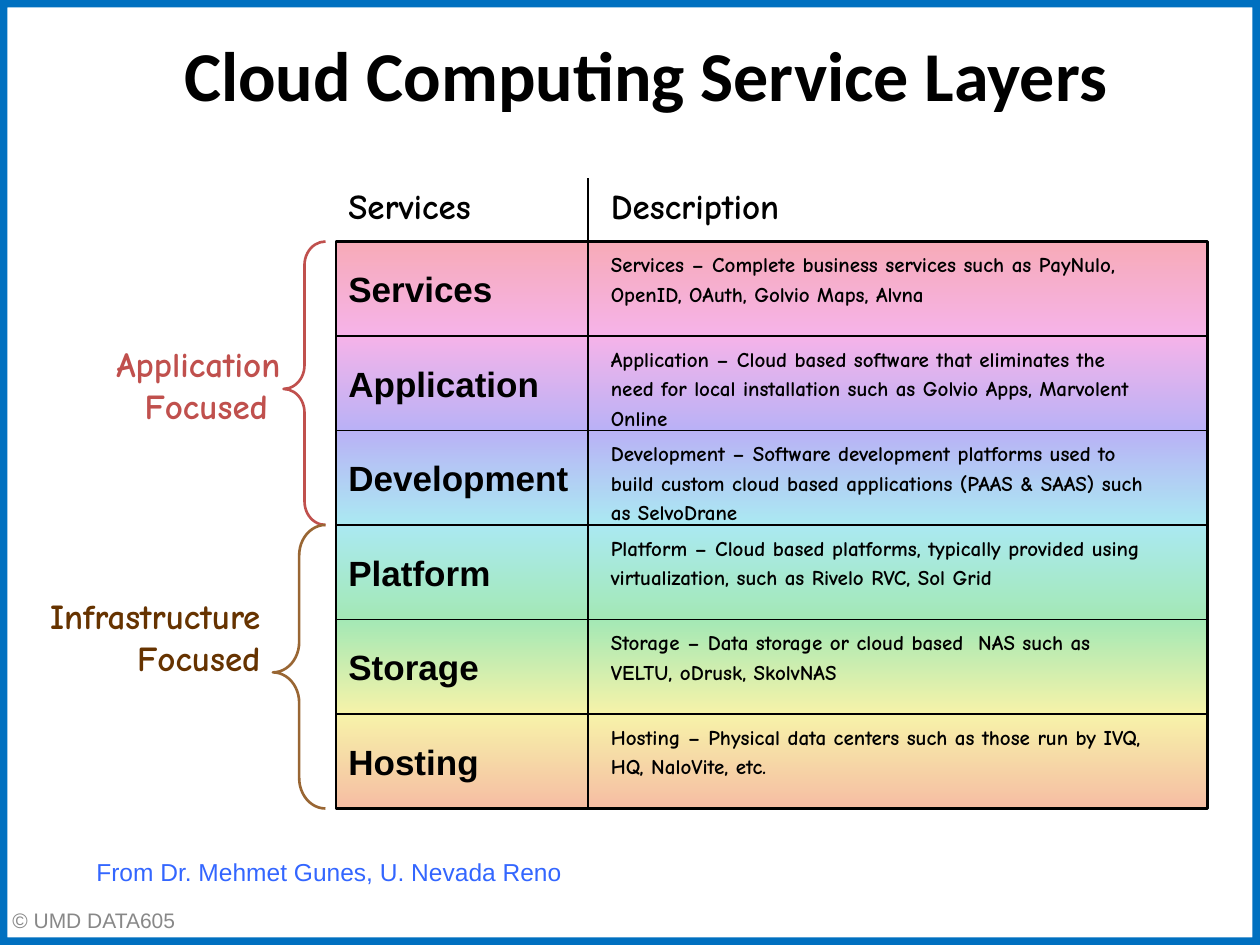
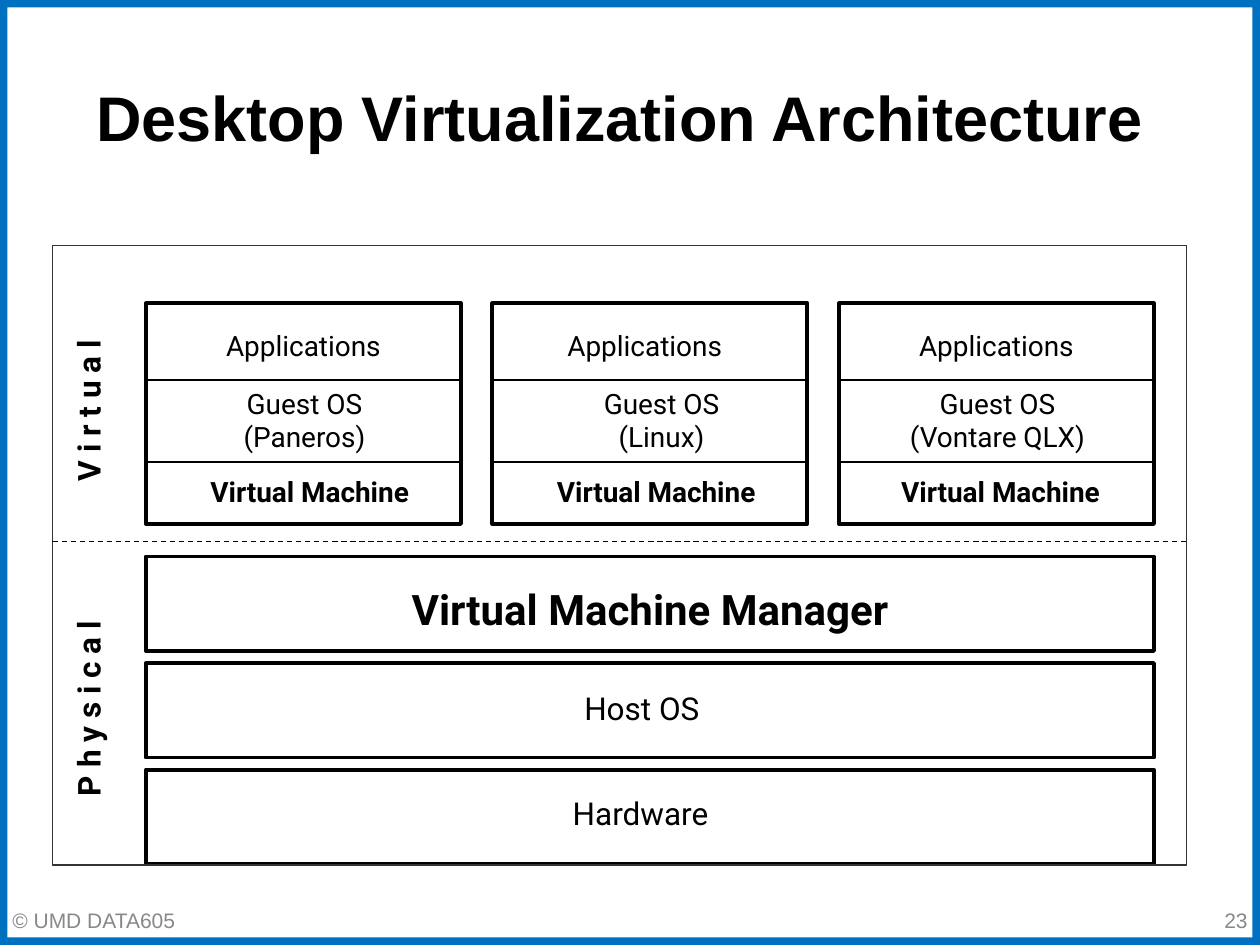
from pptx import Presentation
from pptx.dml.color import RGBColor
from pptx.enum.dml import MSO_LINE
from pptx.enum.shapes import MSO_CONNECTOR, MSO_SHAPE
from pptx.enum.text import MSO_ANCHOR, MSO_AUTO_SIZE, PP_ALIGN
from pptx.oxml.ns import qn
from pptx.util import Pt
from lxml import etree

RECT, BRACE, FRAME = MSO_SHAPE.RECTANGLE, MSO_SHAPE.LEFT_BRACE, MSO_SHAPE.FRAME
STRAIGHT, DASH = MSO_CONNECTOR.STRAIGHT, MSO_LINE.DASH
LEFT, CENTER, RIGHT = PP_ALIGN.LEFT, PP_ALIGN.CENTER, PP_ALIGN.RIGHT
TOP, MIDDLE = MSO_ANCHOR.TOP, MSO_ANCHOR.MIDDLE
GROW = MSO_AUTO_SIZE.SHAPE_TO_FIT_TEXT

# The slide is a grid of 120 columns by 90 rows, twelve cells to the inch
COLS, ROWS = 120, 90
CELL = 76200

BLACK, GREY, BORDER = "000000", "888888", "0070C0"
TITLE_ONLY = 5

# Text formats
COMIC = dict(name="Comic Neue", size=Pt(20), bold=True)
DETAIL = dict(COMIC, size=Pt(12))
LAYER = dict(name="Arial", size=Pt(20), bold=True)
CREDIT = dict(name="Arial", size=Pt(14))
FOOTER = dict(name="Arial", size=Pt(12))
MACHINE = dict(name="Roboto", size=Pt(16), bold=False)
MACHINE_BOLD = dict(MACHINE, bold=True)
HOST = dict(MACHINE, size=Pt(18))
MANAGER = dict(MACHINE_BOLD, size=Pt(24))
SIDE = dict(MACHINE_BOLD, size=Pt(18))

LAYER_COLORS = ["EB2D4D", "E943C9", "523EEA", "2DCADF", "1BC748", "EBE229", "E95B1B"]
LAYERS = [
    ("Services", "Complete business services such as PayNulo, OpenID, OAuth, "
                 "Golvio Maps, Alvna"),
    ("Application", "Cloud based software that eliminates the need for local "
                    "installation such as Golvio Apps, Marvolent Online"),
    ("Development", "Software development platforms used to build custom cloud "
                    "based applications (PAAS & SAAS) such as SelvoDrane"),
    ("Platform", "Cloud based platforms, typically provided using "
                 "virtualization, such as Rivelo RVC, Sol Grid"),
    ("Storage", "Data storage or cloud based  NAS such as VELTU, oDrusk, SkolvNAS"),
    ("Hosting", "Physical data centers such as those run by IVQ, HQ, NaloVite, etc."),
]
# Guest system, then the centre columns of its three labels
MACHINES = [
    ("(Paneros)", 28.9, 29, 29.5),
    ("(Linux)", 61.4, 63, 62.5),
    ("(Vontare QLX)", 94.9, 95, 95.3),
]
# Label, format, centre column and top row of the label
HOSTS = [
    ("Virtual Machine Manager", MANAGER, 61.9, 55),
    ("Host OS ", HOST, 61.5, 65),
    ("Hardware", HOST, 61, 75),
]


def grid(*cells):
    return [round(c * CELL) for c in cells]


def rgb(value):
    return RGBColor.from_string(value)


def write(tf, paragraphs, fmt, color=BLACK, align=LEFT, spacing=None):
    for i, text in enumerate(paragraphs):
        p = tf.paragraphs[0] if i == 0 else tf.add_paragraph()
        p.text = text
        p.alignment = align
        if spacing:
            p.line_spacing = spacing
        for r in p.runs:
            for key, value in fmt.items():
                setattr(r.font, key, value)
            r.font.color.rgb = rgb(color)


def add_text(slide, box, paragraphs, fmt, anchor=TOP, grow=True, rotation=0, **style):
    sp = slide.shapes.add_textbox(*grid(*box))
    sp.rotation = rotation
    tf = sp.text_frame
    tf.word_wrap = True
    tf.vertical_anchor = anchor
    if grow:
        tf.auto_size = GROW
    write(tf, paragraphs, fmt, **style)


def add_label(slide, center, top, width, paragraphs, fmt):
    box = (center - width / 2, top, width, 4.5 * len(paragraphs))
    add_text(slide, box, paragraphs, fmt, align=CENTER)


def add_outline(slide, box, weight, color=BLACK, kind=RECT, adjust=()):
    sp = slide.shapes.add_shape(kind, *grid(*box))
    sp.shadow.inherit = False
    sp.fill.background()
    sp.line.color.rgb = rgb(color)
    sp.line.width = Pt(weight)
    for i, value in enumerate(adjust):
        sp.adjustments[i] = value
    return sp


def add_line(slide, x1, y1, x2, y2, dash=None):
    line = slide.shapes.add_connector(STRAIGHT, *grid(x1, y1, x2, y2))
    line.line.color.rgb = rgb(BLACK)
    line.line.width = Pt(0.75)
    if dash:
        line.line.dash_style = dash
    etree.SubElement(line._element.spPr, qn("a:effectLst"))


def fade(sp, start, end, opacity):
    sp.fill.gradient()
    sp.fill.gradient_angle = 270
    for stop, color in zip(sp.fill.gradient_stops, (start, end)):
        stop.color.rgb = rgb(color)
    for color in sp._element.spPr.find(qn("a:gradFill")).iter(qn("a:srgbClr")):
        etree.SubElement(color, qn("a:alpha")).set("val", str(opacity * 1000))


def put_border_on_layout(slide):
    sp = slide.shapes.add_shape(FRAME, *grid(0, 0, COLS, ROWS))
    sp.shadow.inherit = False
    sp.adjustments[0] = 0.008
    sp.fill.solid()
    sp.fill.fore_color.rgb = rgb(BORDER)
    sp.line.fill.background()
    slide.slide_layout.shapes.element.insert(2, sp._element)


def add_slide(prs, title, box, font, size, number=None):
    slide = prs.slides.add_slide(prs.slide_layouts[TITLE_ONLY])
    sp = slide.shapes.title
    sp.left, sp.top, sp.width, sp.height = grid(*box)
    sp.text_frame.vertical_anchor = MIDDLE
    write(sp.text_frame, [title], dict(name=font, size=Pt(size), bold=True), align=CENTER)
    footer = dict(fmt=FOOTER, color=GREY, anchor=MIDDLE, grow=False)
    add_text(slide, (0, 85.2, 44, 4.8), ["© UMD DATA605"], **footer)
    if number:
        add_text(slide, (92, 85.2, 28, 4.8), [number], align=RIGHT, **footer)
    return slide


def build_service_layers(slide):
    left, top, width, step = 32, 23, 83, 9
    text_left, head_top = 57, 17
    bottom = top + step * len(LAYERS)

    # Coloured layers, each fading into the next
    for i, (name, detail) in enumerate(LAYERS):
        y = top + i * step
        sp = add_outline(slide, (left, y, width, step), 0.75)
        fade(sp, LAYER_COLORS[i], LAYER_COLORS[i + 1], 40)
        sp.text_frame.vertical_anchor = MIDDLE
        write(sp.text_frame, [name], LAYER)
        add_text(slide, (text_left, y, 54, 6), [f"{name} – {detail}"], DETAIL, spacing=1.17)
    add_outline(slide, (left, top, width, bottom - top), 1.5)

    # Column heads and divider
    add_text(slide, (left, head_top, 24, 5.2), ["Services"], COMIC)
    add_text(slide, (text_left, head_top, 55, 5.2), ["Description"], COMIC)
    add_line(slide, 56, bottom, 56, head_top)

    # Braces, three layers each
    half = 3 * step
    add_outline(slide, (27, top, 4, half), 1.5, "C0504D", BRACE, (0.56, 0.52))
    add_outline(slide, (26, top + half, 5, half), 1.5, "996633", BRACE, (0.58, 0.52))
    add_text(slide, (7.4, 32, 20.5, 9.2), ["Application", "Focused "], COMIC,
             color="C0504D", align=RIGHT)
    add_text(slide, (2, 56, 24, 9.2), ["Infrastructure", "Focused"], COMIC,
             color="663300", align=RIGHT)

    add_text(slide, (8, 81, 48, 4), ["From Dr. Mehmet Gunes, U. Nevada Reno"], CREDIT,
             color="3366FF")


def build_desktop_architecture(slide):
    left, step, width = 13.9, 33, 30
    top, app_bottom, guest_bottom = 28.9, 36.2, 44

    # Physical stack
    for i, (name, fmt, center, text_top) in enumerate(HOSTS):
        add_outline(slide, (left, 53 + i * 10.15, 2 * step + width, 9), 2.25)
        add_label(slide, center, text_top, 81, [name], fmt)

    # Virtual machines
    for i, (system, app_x, guest_x, vm_x) in enumerate(MACHINES):
        x = left + i * step
        add_outline(slide, (x, top, width, 21), 2.25)
        for y in (app_bottom, guest_bottom):
            add_line(slide, x, y, x + width, y)
        add_label(slide, app_x, 30.7, 25, ["Applications"], MACHINE)
        add_label(slide, guest_x, app_bottom, 27, ["Guest OS", system], MACHINE)
        add_label(slide, vm_x, 44.6, 27, ["Virtual Machine"], MACHINE_BOLD)

    # Surrounding panel, split into virtual and physical
    add_outline(slide, (5, 23.4, 108, 59), 0.75, "333333")
    add_line(slide, 5, 51.6, 113, 51.6, DASH)
    for box, name in (((0, 35, 18, 6), "V i r t u a l"),
                      ((-2.5, 62.5, 23, 6), "P h y s i c a l")):
        add_text(slide, box, [name], SIDE, grow=False, rotation=270)


def main():
    prs = Presentation()
    prs.slide_width, prs.slide_height = grid(COLS, ROWS)

    slide = add_slide(prs, "Cloud Computing Service Layers", (14, 2, 95, 10), "Calibri", 40)
    put_border_on_layout(slide)
    build_service_layers(slide)

    slide = add_slide(prs, "Desktop Virtualization Architecture", (2.7, 3.6, 112.6, 15),
                      "Arial", 36, number="23")
    build_desktop_architecture(slide)

    prs.save("out.pptx")


if __name__ == "__main__":
    main()
